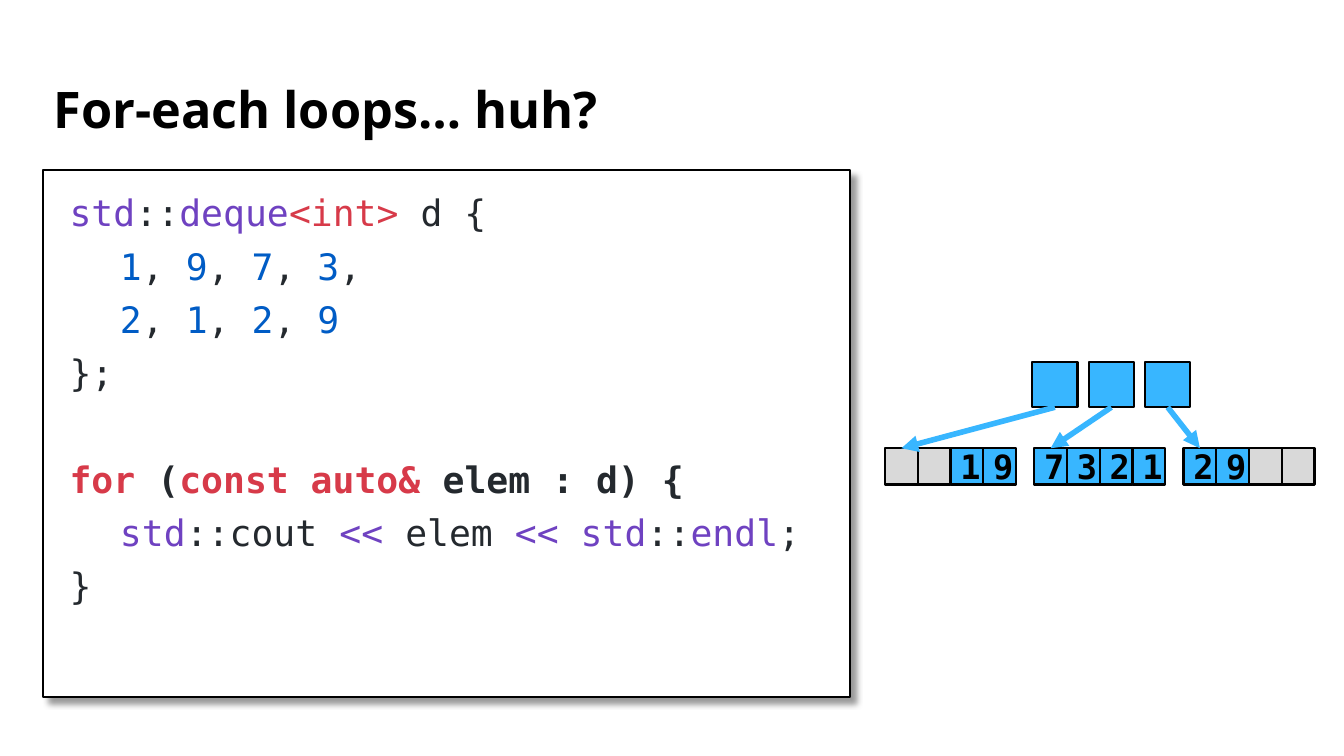
from dataclasses import dataclass

from lxml.etree import SubElement
from pptx import Presentation
from pptx.dml.color import RGBColor
from pptx.enum.shapes import MSO_CONNECTOR as CONN, MSO_SHAPE as SHAPE
from pptx.enum.text import MSO_ANCHOR as ANCHOR, MSO_AUTO_SIZE as AUTO, PP_ALIGN as ALIGN
from pptx.oxml.ns import qn
from pptx.util import Pt


@dataclass(frozen=True)
class Theme:
    black: str = "000000"
    white: str = "FFFFFF"
    blue: str = "38B6FF"
    grey: str = "D9D9D9"
    name: str = "6F42C1"
    plain: str = "24292E"
    keyword: str = "D73A49"
    number: str = "005CC5"
    title_font: str = "Open Sans"
    code_font: str = "DejaVu Sans Mono"
    title_size: float = 36
    code_size: float = 26
    cell_size: float = 24
    outline: float = 1.5
    arrow: float = 4


T = Theme()


def add_text(p, text, *, font, size, color, bold=False):
    r = p.add_run()
    r.text = text
    r.font.name, r.font.size, r.font.bold = font, Pt(size), bold
    r.font.color.rgb = RGBColor.from_string(color)


def numbers(*values, end=""):
    """Return the tokens of an indented, comma-separated row of numbers."""
    tokens = [("\t", T.plain)]
    for i, value in enumerate(values):
        tokens.append((value, T.number))
        separator = ", " if i < len(values) - 1 else end
        if separator:
            tokens.append((separator, T.plain))
    return tokens


class Deck:
    def __init__(self, theme, width, height):
        self.theme = theme
        self.prs = Presentation()
        self.prs.slide_width, self.prs.slide_height = Pt(width), Pt(height)
        self.s = self.prs.slides.add_slide(self.prs.slide_layouts[5])

    def title(self, text, x, y, w, h):
        sp = self.s.shapes.title
        sp.left, sp.top, sp.width, sp.height = Pt(x), Pt(y), Pt(w), Pt(h)
        tf = sp.text_frame
        tf.auto_size, tf.vertical_anchor = AUTO.NONE, ANCHOR.MIDDLE
        p = tf.paragraphs[0]
        p.alignment, p.line_spacing = ALIGN.LEFT, 0.9
        add_text(p, text, font=self.theme.title_font, size=self.theme.title_size,
                 color=self.theme.black, bold=True)

    def box(self, x, y, w, h, fill, text=""):
        sp = self.s.shapes.add_shape(SHAPE.RECTANGLE, Pt(x), Pt(y), Pt(w), Pt(h))
        sp.shadow.inherit = False
        sp.fill.solid()
        sp.fill.fore_color.rgb = RGBColor.from_string(fill)
        sp.line.color.rgb = RGBColor.from_string(self.theme.black)
        sp.line.width = Pt(self.theme.outline)
        if text:
            tf = sp.text_frame
            tf.vertical_anchor = ANCHOR.MIDDLE
            p = tf.paragraphs[0]
            p.alignment = ALIGN.CENTER
            add_text(p, text, font=self.theme.code_font, size=self.theme.cell_size,
                     color=self.theme.black, bold=True)
        return sp

    def code(self, lines, x, y, w, h):
        """Draw a shadowed panel; each line is (space before, bold, tokens)."""
        sp = self.box(x, y, w, h, self.theme.white)
        effects = sp._element.spPr.find(qn("a:effectLst"))
        shadow = SubElement(effects, qn("a:outerShdw"), blurRad=str(Pt(4)), dist=str(Pt(6)),
                            dir=str(45 * 60000), algn="tl", rotWithShape="0")
        color = SubElement(shadow, qn("a:srgbClr"), val=self.theme.black)
        SubElement(color, qn("a:alpha"), val="40000")
        tf = sp.text_frame
        tf.word_wrap, tf.vertical_anchor = True, ANCHOR.TOP
        tf.margin_left = tf.margin_right = tf.margin_top = tf.margin_bottom = Pt(18)
        for i, (before, bold, tokens) in enumerate(lines):
            p = tf.add_paragraph() if i else tf.paragraphs[0]
            p.alignment, p.line_spacing, p.space_before = ALIGN.LEFT, 0.9, Pt(before)
            pPr = p._p.get_or_add_pPr()
            pPr.set("marL", str(Pt(0.72)))
            pPr.set("indent", "0")
            SubElement(SubElement(pPr, qn("a:tabLst")), qn("a:tab"), pos=str(Pt(36)), algn="l")
            for text, color in tokens:
                add_text(p, text, font=self.theme.code_font, size=self.theme.code_size,
                         color=color, bold=bold)

    def arrow(self, start, end):
        """Point from the bottom of start to the top of end."""
        c = self.s.shapes.add_connector(CONN.STRAIGHT, 0, 0, 0, 0)
        c.begin_connect(start, 2)
        c.end_connect(end, 0)
        c.line.color.rgb = RGBColor.from_string(self.theme.blue)
        c.line.width = Pt(self.theme.arrow)
        SubElement(c.line._get_or_add_ln(), qn("a:tailEnd"), type="triangle")
        SubElement(c._element.spPr, qn("a:effectLst"))


CODE = [
    (0, False, [("std", T.name), ("::", T.plain), ("deque", T.name),
                ("<int>", T.keyword), (" d {", T.plain)]),
    (10, False, numbers("1", "9", "7", "3", end=",")),
    (10, False, numbers("2", "1", "2", "9")),
    (10, False, [("};", T.plain)]),
    (48, True, [("for", T.keyword), (" (", T.plain), ("const auto& ", T.keyword),
                ("elem : d) {", T.plain)]),
    (10, False, [("\tstd", T.name), ("::cout ", T.plain), ("<< ", T.name), ("elem ", T.plain),
                 ("<< std", T.name), ("::", T.plain), ("endl", T.name), (";", T.plain)]),
    (10, False, [("}", T.plain)]),
]
BLOCKS = [["", "", "1", "9"], ["7", "3", "2", "1"], ["2", "9", "", ""]]


def main():
    deck = Deck(T, 960, 540)
    deck.title("For-each loops… huh?", 31, 49.7, 898, 60.5)
    deck.code(CODE, 31, 121.7, 576, 376.5)

    pointers = [deck.box(737.3 + 40.3 * i, 258.5, 32.4, 32.4, T.blue) for i in range(3)]
    first_cells = []
    for i, block in enumerate(BLOCKS):
        cells = [deck.box(632.2 + 106.6 * i + 23.4 * j, 320.2, 23.4, 25.9,
                          T.blue if digit else T.grey, digit)
                 for j, digit in enumerate(block)]
        first_cells.append(cells[0])
    for pointer, cell in zip(pointers, first_cells):
        deck.arrow(pointer, cell)

    deck.prs.save("out.pptx")


if __name__ == "__main__":
    main()
